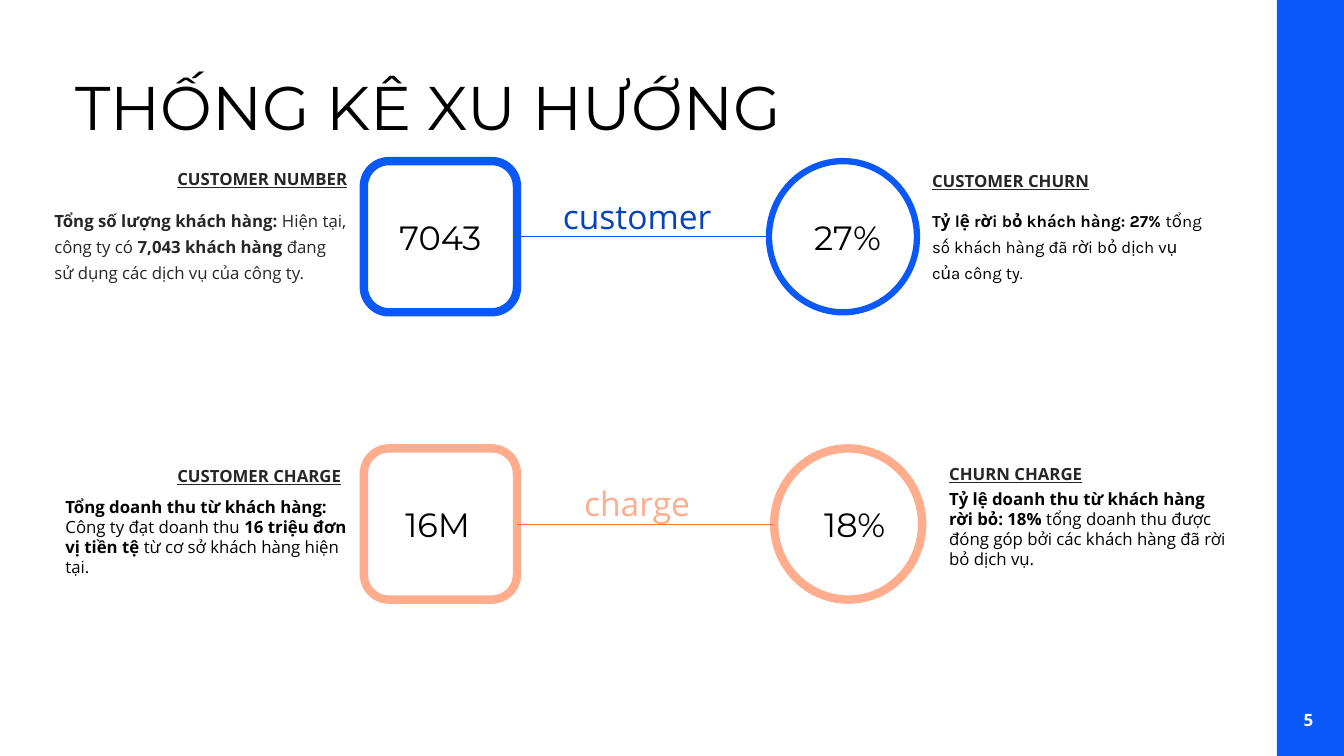
from dataclasses import dataclass

from lxml import etree
from pptx import Presentation
from pptx import util as u
from pptx.dml.color import RGBColor
from pptx.enum import shapes, text
from pptx.oxml import ns


@dataclass(frozen=True)
class Theme:
    blue: str = "0958F7"
    deep_blue: str = "0642BA"
    peach: str = "FFAD8D"
    orange: str = "FE7032"
    white: str = "FFFFFF"
    black: str = "000000"
    grey: str = "262626"
    display: str = "Montserrat"
    body: str = "Open Sans"
    accent: str = "Karla"
    title_size: float = 44
    value_size: float = 24
    text_size: float = 12
    page_size: float = 12.1


@dataclass(frozen=True)
class Caption:
    heading: str
    heading_box: tuple
    runs: tuple
    body_box: tuple
    font: str
    color: str
    spacing: float


@dataclass(frozen=True)
class Metric:
    top: float
    color: str
    label: str
    label_color: str
    link_color: str
    total: str
    total_left: float
    share: str
    share_left: float
    circle_left: float
    circle_line: float
    captions: tuple


THEME = Theme()
SLIDE_WIDTH, SLIDE_HEIGHT = 33.87, 19.05
BADGE_HEIGHT = 3.81
SQUARE_LEFT, SQUARE_WIDTH = 9.17, 3.86
CIRCLE_WIDTH = 3.73
VALUE_HEIGHT = 1.27

METRICS = (
    Metric(
        top=4.06, color=THEME.blue, label="customer", label_color=THEME.deep_blue,
        link_color=THEME.blue, total="7043", total_left=9.32,
        share="27%", share_left=20.09, circle_left=19.38, circle_line=4.5,
        captions=(
            Caption("CUSTOMER NUMBER", (4.22, -0.08, 7.06, 1.07),
                    (("Tổng số lượng khách hàng:", True), (" Hiện tại, công ty có ", False),
                     ("7,043 khách hàng", True),
                     (" đang sử dụng các dịch vụ của công ty.", False)),
                    (1.12, 0.97, 7.87, 3.15), THEME.body, THEME.grey, 1.3),
            Caption("CUSTOMER CHURN", (23.24, -0.03, 7.06, 1.07),
                    (("Tỷ lệ rời bỏ khách hàng: 27% ", True),
                     ("tổng số khách hàng đã rời bỏ dịch vụ của công ty.", False)),
                    (23.24, 0.97, 7.37, 3.15), THEME.accent, THEME.black, 1.3),
        ),
    ),
    Metric(
        top=11.3, color=THEME.peach, label="charge", label_color=THEME.peach,
        link_color=THEME.orange, total="16M", total_left=9.25,
        share="18%", share_left=20.27, circle_left=19.51, circle_line=6,
        captions=(
            Caption("CUSTOMER CHARGE", (4.22, 0.15, 4.83, 1.07),
                    (("Tổng doanh thu từ khách hàng:", True), (" Công ty đạt doanh thu ", False),
                     ("16 triệu đơn vị tiền tệ", True),
                     (" từ cơ sở khách hàng hiện tại.", False)),
                    (1.4, 1.09, 7.8, 2.31), THEME.body, THEME.black, 1),
            Caption("CHURN CHARGE", (23.67, 0.1, 4.83, 1.07),
                    (("Tỷ lệ doanh thu từ khách hàng rời bỏ: 18%", True),
                     (" tổng doanh thu được đóng góp bởi các khách hàng đã rời bỏ dịch vụ.", False)),
                    (23.67, 0.89, 7.57, 2.31), THEME.body, THEME.black, 1),
        ),
    ),
)


def in_cm(box):
    return [u.Cm(length) for length in box]


def style(paragraph, font, size, color, bold=None):
    paragraph.font.name = font
    paragraph.font.size = u.Pt(size)
    paragraph.font.color.rgb = RGBColor.from_string(color)
    paragraph.font.bold = bold


def add_words(slide, box, runs, font, size, color, bold=None, centred=False, spacing=1):
    words = slide.shapes.add_textbox(*in_cm(box))
    frame = words.text_frame
    frame.word_wrap = True
    paragraph = frame.paragraphs[0]
    if centred:
        frame.vertical_anchor = text.MSO_ANCHOR.MIDDLE
        paragraph.alignment = text.PP_ALIGN.CENTER
    paragraph.line_spacing = spacing
    for wording, run_bold in runs:
        run = paragraph.add_run()
        run.text = wording
        run.font.bold = run_bold
    style(paragraph, font, size, color, bold)
    return words


def add_value(slide, box, wording, font, color):
    add_words(slide, box, [(wording, None)], font, THEME.value_size, color, centred=True)


def add_badge(slide, box, preset, color, width):
    badge = slide.shapes.add_shape(preset, *in_cm(box))
    badge.shadow.inherit = False
    badge.fill.solid()
    badge.fill.fore_color.rgb = RGBColor.from_string(THEME.white)
    badge.line.color.rgb = RGBColor.from_string(color)
    badge.line.width = u.Pt(width)


def add_link(slide, start, end, level, color):
    link = slide.shapes.add_connector(
        shapes.MSO_CONNECTOR.STRAIGHT, *in_cm((start, level, end, level)))
    link.line.color.rgb = RGBColor.from_string(color)
    link.line.width = u.Pt(0.5)
    etree.SubElement(link._element.spPr, ns.qn("a:effectLst"))


def add_caption(slide, caption, row_top):
    left, offset, width, height = caption.heading_box
    heading = add_words(slide, (left, row_top + offset, width, height),
                        [(caption.heading, None)], THEME.body, THEME.text_size,
                        THEME.grey, bold=True, spacing=1.3)
    heading.text_frame.paragraphs[0].font.underline = True
    left, offset, width, height = caption.body_box
    add_words(slide, (left, row_top + offset, width, height), caption.runs,
              caption.font, THEME.text_size, caption.color, spacing=caption.spacing)


def add_metric_row(slide, metric):
    top = metric.top
    value_top = top + (BADGE_HEIGHT - VALUE_HEIGHT) / 2
    square_right = SQUARE_LEFT + SQUARE_WIDTH
    add_badge(slide, (metric.circle_left, top, CIRCLE_WIDTH, BADGE_HEIGHT),
              shapes.MSO_SHAPE.FLOWCHART_CONNECTOR, metric.color, metric.circle_line)
    add_value(slide, (metric.share_left, value_top, 2.54, VALUE_HEIGHT),
              metric.share, THEME.display, THEME.black)
    add_badge(slide, (SQUARE_LEFT, top, SQUARE_WIDTH, BADGE_HEIGHT),
              shapes.MSO_SHAPE.ROUNDED_RECTANGLE, metric.color, 6)
    add_value(slide, (metric.total_left, value_top, 3.56, VALUE_HEIGHT),
              metric.total, THEME.display, THEME.black)
    add_link(slide, square_right, metric.circle_left, top + BADGE_HEIGHT / 2, metric.link_color)
    add_value(slide, (square_right, top + 0.75, 6.05, VALUE_HEIGHT),
              metric.label, THEME.body, metric.label_color)
    for caption in metric.captions:
        add_caption(slide, caption, top)


def add_title(slide, box, wording):
    title = slide.shapes.title
    title.left, title.top, title.width, title.height = in_cm(box)
    frame = title.text_frame
    frame.text = wording
    frame.word_wrap = True
    frame.auto_size = text.MSO_AUTO_SIZE.NONE
    frame.vertical_anchor = text.MSO_ANCHOR.TOP
    frame.paragraphs[0].alignment = text.PP_ALIGN.LEFT
    style(frame.paragraphs[0], THEME.display, THEME.title_size, THEME.black)


def add_page_strip(slide, box, number):
    strip = slide.shapes.add_shape(shapes.MSO_SHAPE.RECTANGLE, *in_cm(box))
    strip.shadow.inherit = False
    strip.fill.solid()
    strip.fill.fore_color.rgb = RGBColor.from_string(THEME.blue)
    strip.line.fill.background()
    left, top, width, height = box
    add_words(slide, (left - 0.05, top + height - 1.42, width, 0.99), [(number, None)],
              THEME.body, THEME.page_size, THEME.white, bold=True, centred=True)


def main():
    deck = Presentation()
    deck.slide_width, deck.slide_height = in_cm((SLIDE_WIDTH, SLIDE_HEIGHT))
    slide = deck.slides.add_slide(deck.slide_layouts[5])
    add_page_strip(slide, (32.18, 0, 1.69, SLIDE_HEIGHT), "5")
    add_title(slide, (1.65, 1.6, 28.78, 2.64), "THỐNG KÊ XU HƯỚNG")
    for metric in METRICS:
        add_metric_row(slide, metric)
    deck.save("out.pptx")


if __name__ == "__main__":
    main()
